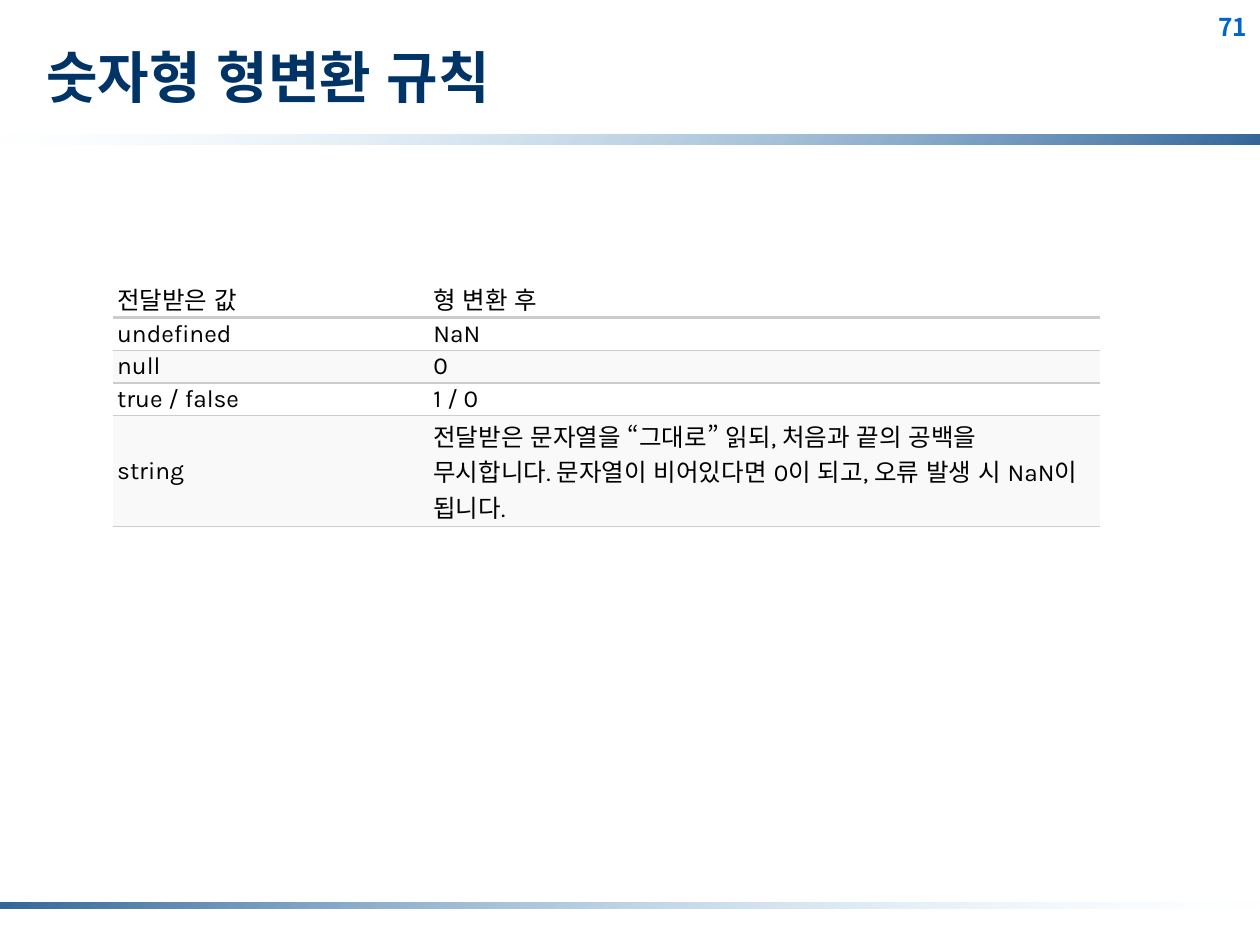
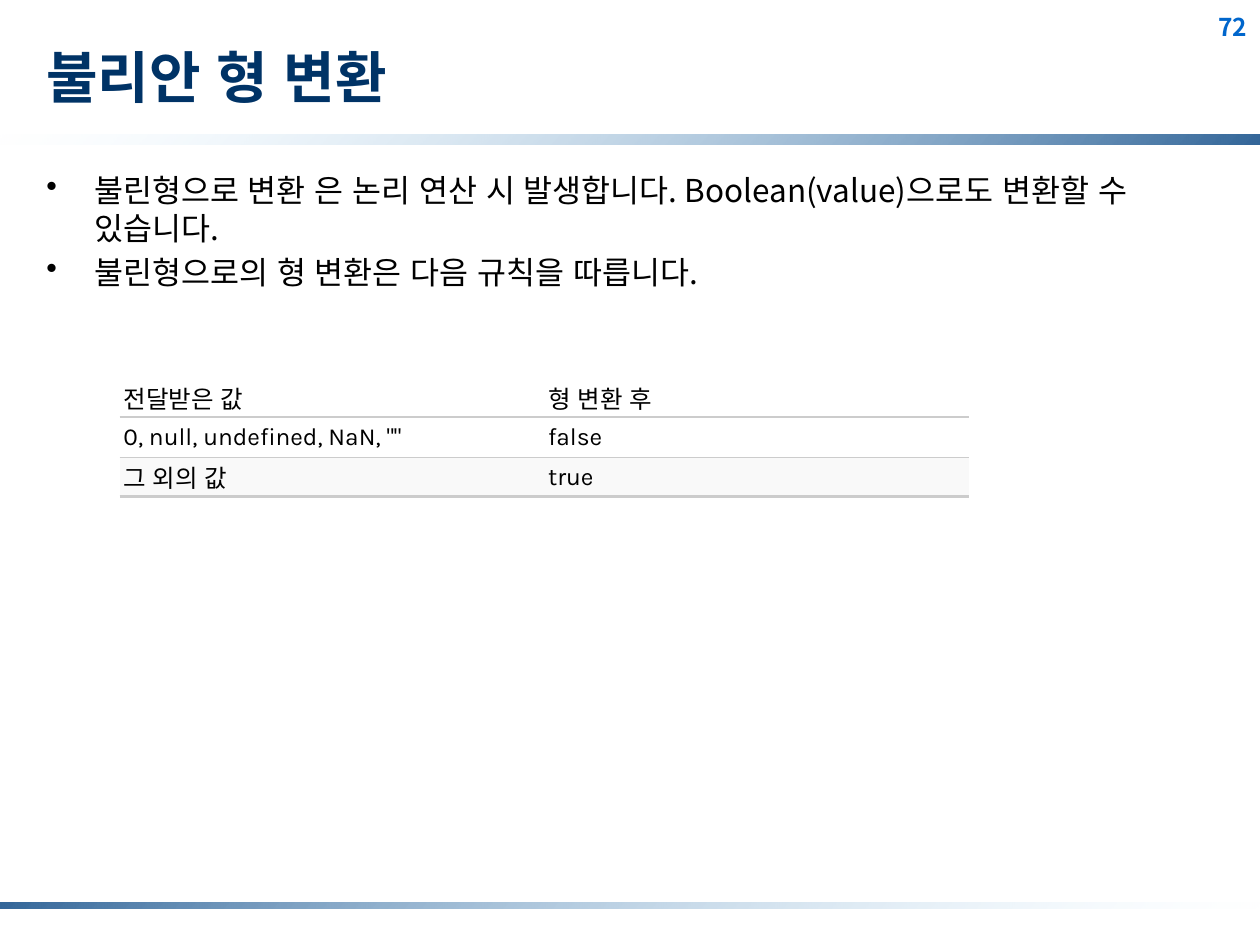
from dataclasses import dataclass

from lxml.etree import SubElement
from pptx import Presentation
from pptx.dml.color import RGBColor
from pptx.enum.shapes import MSO_SHAPE
from pptx.enum.text import MSO_ANCHOR
from pptx.oxml.ns import qn
from pptx.util import Inches, Pt


@dataclass(frozen=True)
class Theme:
    navy: str = "003366"
    blue: str = "0066CC"
    steel: str = "336699"
    sky: str = "CCECFF"
    black: str = "000000"
    white: str = "FFFFFF"
    stripe: str = "F9F9F9"
    rule: str = "CCCCCC"
    latin: str = "Karla"
    korean: str = "Noto Sans CJK KR"
    title_size: int = 32
    body_size: int = 18
    table_size: int = 14
    number_size: int = 14
    thick: float = 1.8
    thin: float = 0.75


THEME = Theme()
SLIDE_WIDTH = 10
SLIDE_HEIGHT = 7.5
NO_STYLE = "{2D5ABB26-0587-4C30-8999-92F81FD0307C}"

NUMBER_RULES = [
    ("전달받은 값", "형 변환 후"),
    ("undefined", "NaN"),
    ("null", "0"),
    ("true / false", "1 / 0"),
    ("string", "전달받은 문자열을 “그대로” 읽되, 처음과 끝의 공백을 무시합니다. "
               "문자열이 비어있다면 0이 되고, 오류 발생 시 NaN이 됩니다."),
]
BOOLEAN_NOTES = [
    "불린형으로 변환 은 논리 연산 시 발생합니다. Boolean(value)으로도 변환할 수 있습니다.",
    "불린형으로의 형 변환은 다음 규칙을 따릅니다.",
]
BOOLEAN_RULES = [
    ("전달받은 값", "형 변환 후"),
    ('0, null, undefined, NaN, ""', "false"),
    ("그 외의 값", "true"),
]


def add_run(paragraph, text, size, color, font=THEME.latin, bold=False):
    run = paragraph.add_run()
    run.text = text
    run.font.size = Pt(size)
    run.font.bold = bold
    run.font.color.rgb = RGBColor.from_string(color)
    run.font.name = font
    properties = run.font._element
    properties.set("lang", "ko-KR")
    SubElement(properties, qn("a:ea"), typeface=THEME.korean)


def add_text_frame(slide, box, anchor=MSO_ANCHOR.TOP, wrap=True):
    frame = slide.shapes.add_textbox(*map(Inches, box)).text_frame
    frame.word_wrap = wrap
    frame.vertical_anchor = anchor
    return frame


def add_band(slide, box, colors):
    band = slide.shapes.add_shape(MSO_SHAPE.RECTANGLE, *map(Inches, box))
    band.shadow.inherit = False
    band.line.fill.background()
    band.fill.gradient()
    band.fill.gradient_angle = 315
    for stop, color in zip(band.fill.gradient_stops, colors):
        stop.color.rgb = RGBColor.from_string(color)
    for element in band._element.spPr.iter(qn("a:srgbClr")):
        if element.get("val") == THEME.sky:
            SubElement(element, qn("a:alpha"), val="0")


def add_titled_slide(presentation, title, number):
    slide = presentation.slides.add_slide(presentation.slide_layouts[6])
    number_frame = add_text_frame(slide, (9.57, 0.05, 0.43, 0.37), wrap=False)
    add_run(number_frame.paragraphs[0], str(number), THEME.number_size,
            THEME.blue, THEME.korean, bold=True)
    add_band(slide, (0, 1.07, SLIDE_WIDTH, 0.08), (THEME.sky, THEME.steel))
    add_band(slide, (0, 7.16, SLIDE_WIDTH, 0.05), (THEME.steel, THEME.sky))
    title_frame = add_text_frame(slide, (0.27, 0.13, 9.21, 0.95), MSO_ANCHOR.MIDDLE)
    add_run(title_frame.paragraphs[0], title, THEME.title_size, THEME.navy, bold=True)
    return slide


def add_bullets(slide, box, lines):
    frame = add_text_frame(slide, box)
    for index, line in enumerate(lines):
        paragraph = frame.add_paragraph() if index else frame.paragraphs[0]
        properties = paragraph._p.get_or_add_pPr()
        properties.set("marL", str(Inches(0.38)))
        properties.set("indent", str(-Inches(0.38)))
        bullet_color = SubElement(properties, qn("a:buClr"))
        SubElement(bullet_color, qn("a:srgbClr"), val=THEME.black)
        SubElement(properties, qn("a:buChar"), char="•")
        if index:
            paragraph.space_before = Pt(3.6)
        add_run(paragraph, line, THEME.body_size, THEME.black, THEME.korean)


def set_borders(cell, top, bottom):
    properties = cell._tc.get_or_add_tcPr()
    widths = {"a:lnL": 0, "a:lnR": 0, "a:lnT": top, "a:lnB": bottom}
    for position, (tag, width) in enumerate(widths.items()):
        line = SubElement(properties, qn(tag), w=str(Pt(width)))
        if width:
            fill = SubElement(line, qn("a:solidFill"))
            SubElement(fill, qn("a:srgbClr"), val=THEME.rule)
        else:
            SubElement(line, qn("a:noFill"))
        properties.insert(position, line)


def fill_cell(cell, text, row):
    cell.margin_left, cell.margin_right = Inches(0.03), Inches(0.07)
    cell.margin_top = cell.margin_bottom = Inches(0.01)
    cell.vertical_anchor = MSO_ANCHOR.MIDDLE if row else MSO_ANCHOR.BOTTOM
    striped = row and row % 2 == 0
    cell.fill.solid()
    cell.fill.fore_color.rgb = RGBColor.from_string(THEME.stripe if striped else THEME.white)
    add_run(cell.text_frame.paragraphs[0], text, THEME.table_size, THEME.black)


def add_rule_table(slide, left, top, column_widths, row_heights, rows, last_line):
    box = (left, top, sum(column_widths), sum(row_heights))
    frame = slide.shapes.add_table(len(rows), len(column_widths), *map(Inches, box))
    table = frame.table
    table.first_row = table.horz_banding = False
    table._tbl.tblPr.find(qn("a:tableStyleId")).text = NO_STYLE
    for column, width in zip(table.columns, column_widths):
        column.width = Inches(width)
    lines = [0, THEME.thick] + [THEME.thin] * (len(rows) - 2) + [last_line]
    for row, texts in enumerate(rows):
        table.rows[row].height = Inches(row_heights[row])
        for column, text in enumerate(texts):
            cell = table.cell(row, column)
            fill_cell(cell, text, row)
            set_borders(cell, lines[row], lines[row + 1])


def build_number_slide(presentation):
    slide = add_titled_slide(presentation, "숫자형 형변환 규칙", 71)
    add_rule_table(slide, 0.9, 2.21, (2.51, 5.32), [0.31] + [0.26] * 3 + [0.88],
                   NUMBER_RULES, THEME.thin)


def build_boolean_slide(presentation):
    slide = add_titled_slide(presentation, "불리안 형 변환", 72)
    add_bullets(slide, (0.27, 1.31, 9.45, 5.75), BOOLEAN_NOTES)
    add_rule_table(slide, 0.95, 3, (3.37, 3.37), (0.31, 0.32, 0.31),
                   BOOLEAN_RULES, THEME.thick)


def main():
    presentation = Presentation()
    presentation.slide_width = Inches(SLIDE_WIDTH)
    presentation.slide_height = Inches(SLIDE_HEIGHT)
    build_number_slide(presentation)
    build_boolean_slide(presentation)
    presentation.save("out.pptx")


if __name__ == "__main__":
    main()
